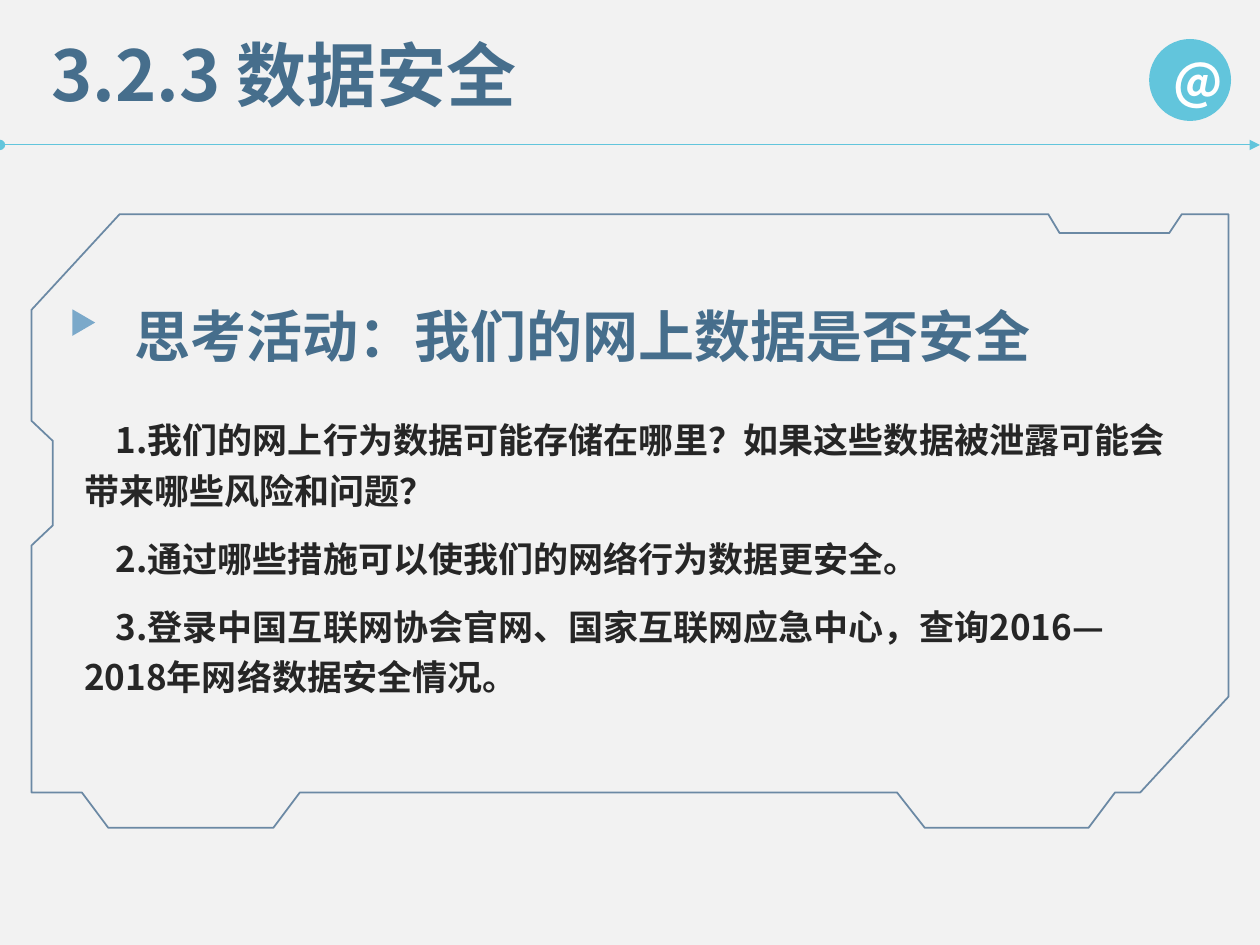
from lxml import etree
from pptx import Presentation
from pptx.dml.color import RGBColor
from pptx.enum import dml, shapes, text
from pptx.oxml.ns import qn
from pptx.util import Inches, Pt

FONT = "Noto Sans CJK SC"
BACKGROUND = RGBColor(0xF2, 0xF2, 0xF2)
STEEL = RGBColor(0x46, 0x6E, 0x8C)
CYAN = RGBColor(0x62, 0xC5, 0xDC)
SKY = RGBColor(0x7B, 0xA9, 0xCA)
NAVY = RGBColor(0x1F, 0x4E, 0x79)
INK = RGBColor(0x26, 0x26, 0x26)
WHITE = RGBColor(0xFF, 0xFF, 0xFF)

TITLE = "3.2.3 数据安全"
BADGE = "@"
ACTIVITY = "思考活动：我们的网上数据是否安全"
QUESTIONS = [
    "1.我们的网上行为数据可能存储在哪里？如果这些数据被泄露可能会带来哪些风险和问题？",
    "2.通过哪些措施可以使我们的网络行为数据更安全。",
    "3.登录中国互联网协会官网、国家互联网应急中心，查询2016—2018年网络数据安全情况。",
]
FRAME = [
    (0.95, 1.7), (8.32, 1.7), (8.41, 1.85), (9.28, 1.85), (9.38, 1.7), (9.75, 1.7),
    (9.75, 5.53), (9.05, 6.29), (8.85, 6.29), (8.64, 6.57), (7.34, 6.57), (7.12, 6.29),
    (2.38, 6.29), (2.17, 6.57), (0.86, 6.57), (0.65, 6.29), (0.25, 6.29),
    (0.25, 4.33), (0.42, 4.17), (0.42, 3.5), (0.25, 3.34), (0.25, 2.46),
]


def add_bold_run(paragraph, words, size, color):
    run = paragraph.add_run()
    run.text = words
    run.font.size, run.font.bold, run.font.name = Pt(size), True, FONT
    run.font.color.rgb = color
    etree.SubElement(run.font._element, qn("a:ea"), typeface=FONT)


def add_text(slide, box, lines, size, color, spacing=1.0, after=0, indent=0):
    frame = slide.shapes.add_textbox(*map(Inches, box)).text_frame
    frame.word_wrap = True
    for number, line in enumerate(lines):
        paragraph = frame.add_paragraph() if number else frame.paragraphs[0]
        paragraph.line_spacing = spacing
        paragraph.space_after = Pt(after)
        if indent:
            paragraph._p.get_or_add_pPr().set("indent", str(Inches(indent)))
        add_bold_run(paragraph, line, size, color)


def add_solid(slide, preset, box, color):
    solid = slide.shapes.add_shape(preset, *map(Inches, box))
    solid.shadow.inherit = False
    solid.fill.solid()
    solid.fill.fore_color.rgb = color
    solid.line.fill.background()
    return solid


def add_divider(slide, y):
    divider = slide.shapes.add_connector(
        shapes.MSO_CONNECTOR.STRAIGHT, 0, Inches(y), Inches(10), Inches(y))
    divider.line.color.rgb = CYAN
    divider.line.width = Pt(0.5)
    outline = divider.line._get_or_add_ln()
    etree.SubElement(outline, qn("a:headEnd"), type="oval")
    etree.SubElement(outline, qn("a:tailEnd"), type="triangle")
    etree.SubElement(divider._element.spPr, qn("a:effectLst"))


def add_frame(slide):
    points = [(Inches(x), Inches(y)) for x, y in FRAME]
    builder = slide.shapes.build_freeform(*points[0])
    builder.add_line_segments(points[1:], close=True)
    border = builder.convert_to_shape()
    border.shadow.inherit = False
    border.fill.background()
    border.line.color.rgb = NAVY
    border.line.width = Pt(1)
    border.line.dash_style = dml.MSO_LINE.SOLID
    tint = border.line._get_or_add_ln().find(".//" + qn("a:srgbClr"))
    etree.SubElement(tint, qn("a:alpha"), val="64000")


def main():
    deck = Presentation()
    deck.slide_width, deck.slide_height = Inches(10), Inches(7.5)
    slide = deck.slides.add_slide(deck.slide_layouts[6])
    slide.background.fill.solid()
    slide.background.fill.fore_color.rgb = BACKGROUND

    add_text(slide, (0.31, 0.2, 6.9, 0.77), [TITLE], 40, STEEL)
    add_divider(slide, 1.15)
    badge = add_solid(slide, shapes.MSO_SHAPE.OVAL, (9.12, 0.31, 0.65, 0.65), CYAN)
    badge.text_frame.vertical_anchor = text.MSO_ANCHOR.MIDDLE
    badge_line = badge.text_frame.paragraphs[0]
    badge_line.alignment = text.PP_ALIGN.CENTER
    add_bold_run(badge_line, BADGE, 28, WHITE)

    add_text(slide, (0.97, 2.08, 7.56, 0.91), [ACTIVITY], 32, STEEL, spacing=1.5)
    add_text(slide, (0.57, 3.21, 8.86, 2.4), QUESTIONS, 20, INK,
             spacing=1.2, after=10, indent=0.25)
    pointer = add_solid(slide, shapes.MSO_SHAPE.ISOSCELES_TRIANGLE,
                        (0.56, 2.47, 0.21, 0.18), SKY)
    pointer.rotation = 90
    add_frame(slide)
    deck.save("out.pptx")


if __name__ == "__main__":
    main()
